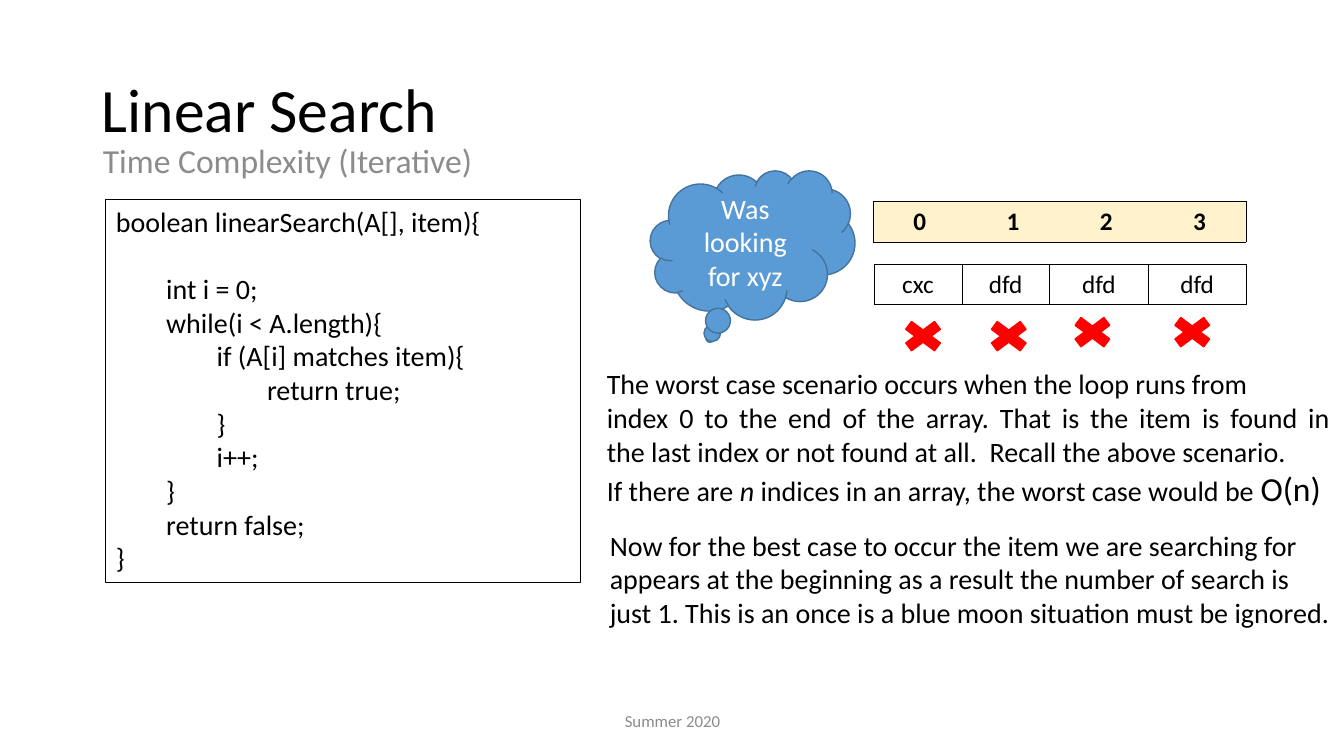
import pptx
import pptx.dml.color
import pptx.enum.shapes
import pptx.enum.text
import pptx.oxml
import pptx.oxml.ns
import pptx.util
from pptx.util import Inches

ALIGN = pptx.enum.text.PP_ALIGN
ANCHOR = pptx.enum.text.MSO_ANCHOR
SHAPE = pptx.enum.shapes.MSO_SHAPE
BLACK, GREY, WHITE, RED = "000000", "8C8C8C", "FFFFFF", "FF0000"

# A paragraph is a list of runs; a run is its text and its own format values.
TITLE = [[("Linear Search", {})]]
SUBTITLE = [[("Time Complexity (Iterative)", {})]]
FOOTER = [[("Summer 2020", {})]]
CLOUD = [[("Was looking for xyz", {})]]
SIGNATURE = "boolean linearSearch(A[], item){"
CODE_LINES = [
    "\tint i = 0;",
    "\twhile(i < A.length){",
    "\t\tif (A[i] matches item){",
    "\t\t\treturn true;",
    "\t\t}",
    "\t\ti++;",
    "\t}",
    "\treturn false;",
    "}",
]
CODE = [[(line, {})] for line in [SIGNATURE] + CODE_LINES]
WORST_CASE = [
    [("The worst case scenario occurs when the loop runs from ", {})],
    [("index 0 to the end of the array. That is the item is found in \n"
      "the last index or not found at all.  Recall the above scenario.", {})],
    [("If there are ", {}), ("n", {"italic": True}),
     (" indices in an array, the worst case would be ", {}),
     ("O(n)", {"size": 24})],
]
BEST_CASE = [
    [("Now for the best case to occur the item we are searching for", {})],
    [("appears at the beginning as a result the number of search is", {})],
    [("just 1. This is an once is a blue moon situation must be ignored.", {})],
]
INDEXES = ["0", "1", "2", "3"]
ITEMS = ["cxc", "dfd", "dfd", "dfd"]
ITEM_WIDTHS = [0.87, 0.87, 0.98, 0.97]
TABLE_WIDTH = 3.7
CROSSES = [(8.88, 3.13), (9.73, 3.13), (10.56, 3.09), (11.55, 3.09)]


def color(value):
    return pptx.dml.color.RGBColor.from_string(value)


def set_font(font, values):
    for name, value in values.items():
        if name == "color":
            font.color.rgb = color(value)
        else:
            setattr(font, name, pptx.util.Pt(value) if name == "size" else value)


def write(frame, paragraphs, size, text_color=BLACK, bold=False, **layout):
    """Fill a text frame; layout holds paragraph format values."""
    for index, runs in enumerate(paragraphs):
        paragraph = frame.paragraphs[0] if index == 0 else frame.add_paragraph()
        for name, value in layout.items():
            setattr(paragraph, name, value)
        for text, own_values in runs:
            for part_index, part in enumerate(text.split("\n")):
                if part_index:
                    paragraph.add_line_break()
                run = paragraph.add_run()
                run.text = part
                set_font(run.font, {"name": "Calibri", "size": size, "bold": bold,
                                    "color": text_color, **own_values})


def place(shape, left, top, width, height):
    box = {"left": left, "top": top, "width": width, "height": height}
    for name, value in box.items():
        setattr(shape, name, Inches(value))


def add_shape(kind, box, line, line_width, fill=None):
    shape = slide.shapes.add_shape(kind, *map(Inches, box))
    shape.shadow.inherit = False
    if fill:
        shape.fill.solid()
        shape.fill.fore_color.rgb = color(fill)
    else:
        shape.fill.background()
    shape.line.color.rgb = color(line)
    shape.line.width = pptx.util.Pt(line_width)
    return shape


def add_text(box, wrap=False):
    frame = slide.shapes.add_textbox(*map(Inches, box)).text_frame
    frame.word_wrap = wrap
    return frame


def set_borders(cell, sides):
    """Draw the named sides of a cell and hide the others."""
    properties = cell._tc.get_or_add_tcPr()
    for side in "LRTB":
        paint = (f'<a:solidFill><a:srgbClr val="{BLACK}"/></a:solidFill>'
                 if side in sides else "<a:noFill/>")
        properties.append(pptx.oxml.parse_xml(
            f'<a:ln{side} {pptx.oxml.ns.nsdecls("a")} w="6350">{paint}</a:ln{side}>'))


def add_row(left, top, texts, widths, borders, fill=None, bold=False):
    """Add a table of one row; borders lists the drawn sides of each cell."""
    table = slide.shapes.add_table(1, len(texts), Inches(left), Inches(top),
                                   Inches(TABLE_WIDTH), Inches(0.4)).table
    table.first_row = table.horz_banding = False
    for index, (text, width, sides) in enumerate(zip(texts, widths, borders)):
        table.columns[index].width = Inches(width)
        cell = table.cell(0, index)
        set_borders(cell, sides)
        if fill:
            cell.fill.solid()
            cell.fill.fore_color.rgb = color(fill)
        else:
            cell.fill.background()
        write(cell.text_frame, [[(text, {})]], 18, bold=bold, alignment=ALIGN.CENTER)


presentation = pptx.Presentation()
presentation.slide_width = Inches(13.33)
presentation.slide_height = Inches(7.5)
slide = presentation.slides.add_slide(presentation.slide_layouts[1])

title, subtitle = slide.placeholders
place(title, 0.91, 0.63, 11.5, 0.87)
title.text_frame.vertical_anchor = ANCHOR.BOTTOM
write(title.text_frame, TITLE, 44, alignment=ALIGN.LEFT, line_spacing=0.9)

place(subtitle, 0.92, 1.38, 11.5, 0.62)
write(subtitle.text_frame, SUBTITLE, 24, GREY, line_spacing=0.9,
      space_before=pptx.util.Pt(10))
bullet = subtitle.text_frame.paragraphs[0]._p.get_or_add_pPr()
bullet.set("marL", "0")
bullet.set("indent", "0")
bullet.append(pptx.oxml.parse_xml(f'<a:buNone {pptx.oxml.ns.nsdecls("a")}/>'))

footer = add_text((4.42, 6.95, 4.5, 0.4), wrap=True)
footer.vertical_anchor = ANCHOR.MIDDLE
write(footer, FOOTER, 12, GREY, alignment=ALIGN.CENTER)

code = add_shape(SHAPE.RECTANGLE, (1.05, 1.98, 4.71, 3.8), BLACK, 0.75).text_frame
code.vertical_anchor = ANCHOR.TOP
write(code, CODE, 20, alignment=ALIGN.LEFT)
code.paragraphs[1].space_before = pptx.util.Pt(24)

write(add_text((5.92, 3.59, 7.48, 1.51)), WORST_CASE, 20, alignment=ALIGN.JUSTIFY)
write(add_text((5.95, 5.19, 7.46, 1.11)), BEST_CASE, 20, alignment=ALIGN.LEFT)

count = len(INDEXES)
add_row(8.67, 2.62, ITEMS, ITEM_WIDTHS, ["LRTB"] * count)
add_row(8.66, 2, INDEXES, [TABLE_WIDTH / count] * count,
        ["LTB"] + ["TB"] * (count - 2) + ["RTB"], fill="FFF2CC", bold=True)

for left, top in CROSSES:
    add_shape(SHAPE.MATH_MULTIPLY, (left, top, 0.55, 0.41), RED, 1, RED)

cloud = add_shape(SHAPE.CLOUD_CALLOUT, (6.45, 1.69, 2.03, 1.48), "43739E", 1, "5B9BD5")
cloud.text_frame.vertical_anchor = ANCHOR.MIDDLE
write(cloud.text_frame, CLOUD, 20, WHITE, alignment=ALIGN.CENTER)

presentation.save("out.pptx")
